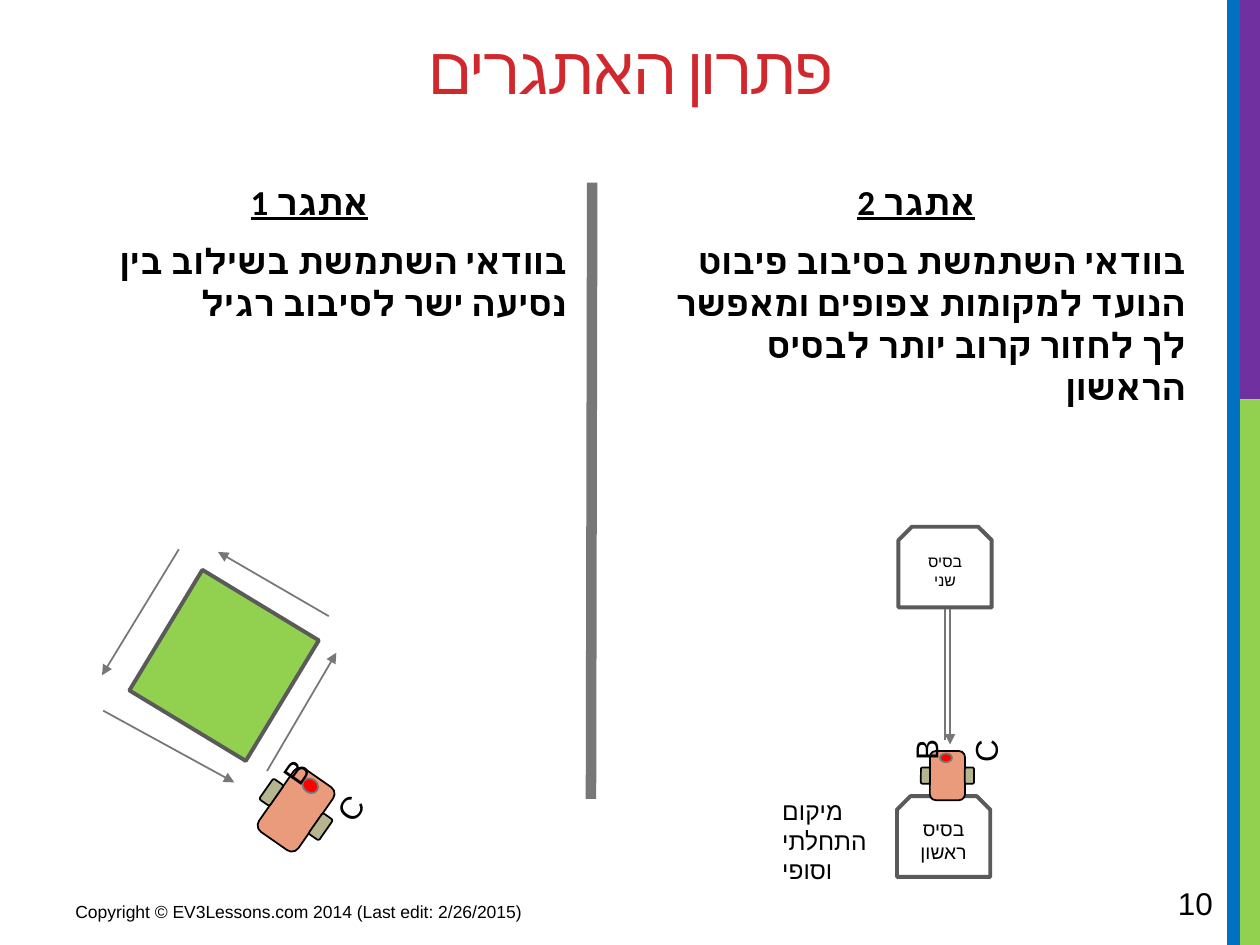
"""Build the Hebrew slide that shows the solutions of two robot challenges."""
from dataclasses import dataclass
from math import cos, radians, sin
from typing import Any

from lxml import etree
from pptx import Presentation
from pptx.dml.color import RGBColor
from pptx.enum.shapes import MSO_CONNECTOR, MSO_SHAPE
from pptx.enum.text import MSO_ANCHOR, MSO_AUTO_SIZE, PP_ALIGN
from pptx.oxml.ns import qn
from pptx.util import Pt

RECT, ROUND = MSO_SHAPE.RECTANGLE, MSO_SHAPE.ROUNDED_RECTANGLE
OVAL, SNIP = MSO_SHAPE.OVAL, MSO_SHAPE.SNIP_2_SAME_RECTANGLE
STRAIGHT = MSO_CONNECTOR.STRAIGHT
LEFT, CENTER, RIGHT = PP_ALIGN.LEFT, PP_ALIGN.CENTER, PP_ALIGN.RIGHT
TOP, MIDDLE = MSO_ANCHOR.TOP, MSO_ANCHOR.MIDDLE
FIXED, GROW = MSO_AUTO_SIZE.NONE, MSO_AUTO_SIZE.SHAPE_TO_FIT_TEXT
BLACK, GRAY, DARK, GREEN = "000000", "777777", "5A5A5A", "92D050"


@dataclass
class Box:
    left: float
    top: float
    width: float
    height: float
    rotation: float = 0

    def lengths(self) -> list[Pt]:
        return [Pt(v) for v in (self.left, self.top, self.width, self.height)]


@dataclass
class Arrow:
    x1: float
    y1: float
    x2: float
    y2: float


@dataclass
class Label:
    text: str
    x: float
    y: float


@dataclass
class Robot:
    x: float
    y: float
    angle: float
    scale_x: float
    scale_y: float
    label_size: tuple[float, float]
    labels: list[Label]


@dataclass
class Part:
    kind: Any
    dx: float
    dy: float
    width: float
    height: float
    fill: str
    line: str = BLACK


@dataclass
class Challenge:
    idx: int
    box: Box
    heading: str
    text: str


PARTS = [
    Part(ROUND, 0, 0, 27.4, 43.9, "EA9B7C"),
    Part(ROUND, 17.2, 0, 7.2, 14.4, "B6B590"),
    Part(ROUND, -17.2, 0, 7.2, 14.4, "B6B590"),
    Part(OVAL, -1.1, -15.8, 9.4, 7.9, "FF0000", GRAY),
]
STRIPES = [
    (Box(708.5, 228.2, 11.5, 311.8), GREEN),
    (Box(705.6, 0, 14.4, 228.2), "7030A0"),
    (Box(701.3, 0, 7.2, 540), "0070C0"),
]
CHALLENGES = [
    Challenge(2, Box(362.2, 99.4, 322.6, 344.2), "אתגר 2",
              "בוודאי השתמשת בסיבוב פיבוט הנועד למקומות צפופים ומאפשר לך לחזור קרוב יותר לבסיס הראשון"),
    Challenge(1, Box(22.3, 99.4, 308.9, 344.2), "אתגר 1",
              "בוודאי השתמשת בשילוב בין נסיעה ישר לסיבוב רגיל"),
]
SQUARE_ARROWS = [
    Arrow(102.2, 313.9, 58.3, 385.9), Arrow(187.9, 352.1, 124.6, 315.4),
    Arrow(152.6, 440.6, 192.2, 373), Arrow(59, 406.1, 133.9, 447.1),
]
SQUARE_ROBOT = Robot(169.2, 462.6, 34.9, 1, 1, (18, 13.7),
                     [Label("B", 160.2, 440.3), Label("C", 191.2, 461.2)])
BASE_ROBOT = Robot(541.4, 443.2, 0, 0.73, 0.64, (11.5, 10.1),
                   [Label("B", 519.8, 433.4), Label("C", 553.7, 434.2)])


def color(value: str) -> RGBColor:
    """Turn a hex string into a colour."""
    return RGBColor.from_string(value)


def write(p: Any, text: str, size: float, name: str = "Arial", tint: str = BLACK, **formats: Any) -> Any:
    """Add one formatted run to a paragraph."""
    r = p.add_run()
    r.text = text
    for key, value in {"name": name, "size": Pt(size), **formats}.items():
        setattr(r.font, key, value)
    etree.SubElement(r.font._element, qn("a:cs"), typeface=name)
    r.font.color.rgb = color(tint)
    return r


def set_frame(tf: Any, anchor: Any = TOP, auto_size: Any = FIXED) -> None:
    """Set wrapping, anchor and fitting of a text frame."""
    for key, value in {"word_wrap": True, "vertical_anchor": anchor, "auto_size": auto_size}.items():
        setattr(tf, key, value)


def place(sp: Any, box: Box) -> None:
    """Move a placeholder to a box."""
    for key, value in zip(("left", "top", "width", "height"), box.lengths()):
        setattr(sp, key, value)


def add_shape(shapes: Any, kind: Any, box: Box, fill: str, line: str = "", weight: float = 1) -> Any:
    """Add a flat preset shape, outlined if a line colour is given."""
    sp = shapes.add_shape(kind, *box.lengths())
    sp.rotation = box.rotation
    sp.shadow.inherit = False
    sp.fill.solid()
    sp.fill.fore_color.rgb = color(fill)
    if line:
        sp.line.color.rgb = color(line)
        sp.line.width = Pt(weight)
    else:
        sp.line.fill.background()
    return sp


def add_text(shapes: Any, box: Box, text: str, size: float, auto_size: Any = FIXED) -> None:
    """Add a text box with one paragraph."""
    sp = shapes.add_textbox(*box.lengths())
    sp.rotation = box.rotation
    set_frame(sp.text_frame, TOP, auto_size)
    write(sp.text_frame.paragraphs[0], text, size)


def add_line(shapes: Any, arrow: Arrow, weight: float = 1, head: bool = True) -> None:
    """Add a straight gray line, with an arrowhead if wanted."""
    cx = shapes.add_connector(STRAIGHT, Pt(arrow.x1), Pt(arrow.y1), Pt(arrow.x2), Pt(arrow.y2))
    cx.line.color.rgb = color(GRAY)
    cx.line.width = Pt(weight)
    if head:
        etree.SubElement(cx.line._get_or_add_ln(), qn("a:tailEnd"), type="triangle")
    etree.SubElement(cx._element.spPr, qn("a:effectLst"))


def add_robot(shapes: Any, robot: Robot) -> None:
    """Draw a robot turned about its centre, with its motor labels."""
    c, s = cos(radians(robot.angle)), sin(radians(robot.angle))
    for part in PARTS:
        dx, dy = part.dx * robot.scale_x, part.dy * robot.scale_y
        w, h = part.width * robot.scale_x, part.height * robot.scale_y
        x, y = robot.x + dx * c - dy * s, robot.y + dx * s + dy * c
        add_shape(shapes, part.kind, Box(x - w / 2, y - h / 2, w, h, robot.angle), part.fill, part.line)
    w, h = robot.label_size
    for label in robot.labels:
        box = Box(label.x - w / 2, label.y - h / 2, w, h, robot.angle + 270)
        add_text(shapes, box, label.text, 18, GROW)


def add_base(shapes: Any, left: float, top: float, text: str, size: float) -> None:
    """Draw a base with its name."""
    sp = add_shape(shapes, SNIP, Box(left, top, 53.3, 46.1), "FFFFFF", DARK, 2.25)
    set_frame(sp.text_frame, MIDDLE)
    p = sp.text_frame.paragraphs[0]
    p.alignment = CENTER
    write(p, text, size)


def add_challenge(s: Any, challenge: Challenge) -> None:
    """Fill a body placeholder with a challenge heading and its solution."""
    sp = s.placeholders[challenge.idx]
    place(sp, challenge.box)
    tf = sp.text_frame
    set_frame(tf)
    rows = [(tf.paragraphs[0], challenge.heading, CENTER, 0, True),
            (tf.add_paragraph(), challenge.text, RIGHT, 4, False)]
    for p, text, align, before, underline in rows:
        pPr = p._p.get_or_add_pPr()
        for key, value in {"marL": "0", "indent": "0", "rtl": "1"}.items():
            pPr.set(key, value)
        etree.SubElement(pPr, qn("a:buNone"))
        for key, value in {"alignment": align, "space_before": Pt(before), "space_after": Pt(6)}.items():
            setattr(p, key, value)
        write(p, text, 20, "Calibri", bold=True, underline=underline)


def main() -> None:
    """Build and save the slide."""
    prs = Presentation()
    prs.slide_width, prs.slide_height = Pt(720), Pt(540)
    s = prs.slides.add_slide(prs.slide_layouts[3])
    for box, fill in STRIPES:
        add_shape(s.shapes, RECT, box, fill)

    title = s.shapes.title
    place(title, Box(36, 12.2, 649.4, 108))
    set_frame(title.text_frame)
    p = title.text_frame.paragraphs[0]
    p.alignment = CENTER
    write(p, "פתרון האתגרים", 38, "Calibri", "D1282E").font._element.set("spc", "-60")
    for challenge in CHALLENGES:
        add_challenge(s, challenge)
    add_text(s.shapes, Box(36, 511.2, 270, 22.3), "Copyright © EV3Lessons.com 2014 (Last edit: 2/26/2015)", 10)
    add_text(s.shapes, Box(666, 501.8, 49.7, 28.8), "10", 18)
    add_line(s.shapes, Arrow(337.7, 456.5, 338.4, 104.4), 6, False)

    shapes = s.shapes.add_group_shape().shapes
    add_shape(shapes, RECT, Box(87.8, 341.3, 80.6, 77.8, 301.2), GREEN, DARK, 2.25)
    add_robot(shapes, SQUARE_ROBOT)
    for arrow in SQUARE_ARROWS:
        add_line(shapes, arrow)

    shapes = s.shapes.add_group_shape().shapes
    add_line(shapes, Arrow(540, 422.6, 540, 339.1))
    add_text(shapes, Box(439.9, 451.4, 74.9, 58.3), "מיקום התחלתי וסופי", 14, GROW)
    add_line(shapes, Arrow(542.9, 347, 542.9, 425.5))
    add_base(shapes, 512.6, 455, "בסיס ראשון", 11)
    add_robot(shapes, BASE_ROBOT)
    add_base(shapes, 513.4, 301, "בסיס שני", 9)
    prs.save("out.pptx")


if __name__ == "__main__":
    main()
